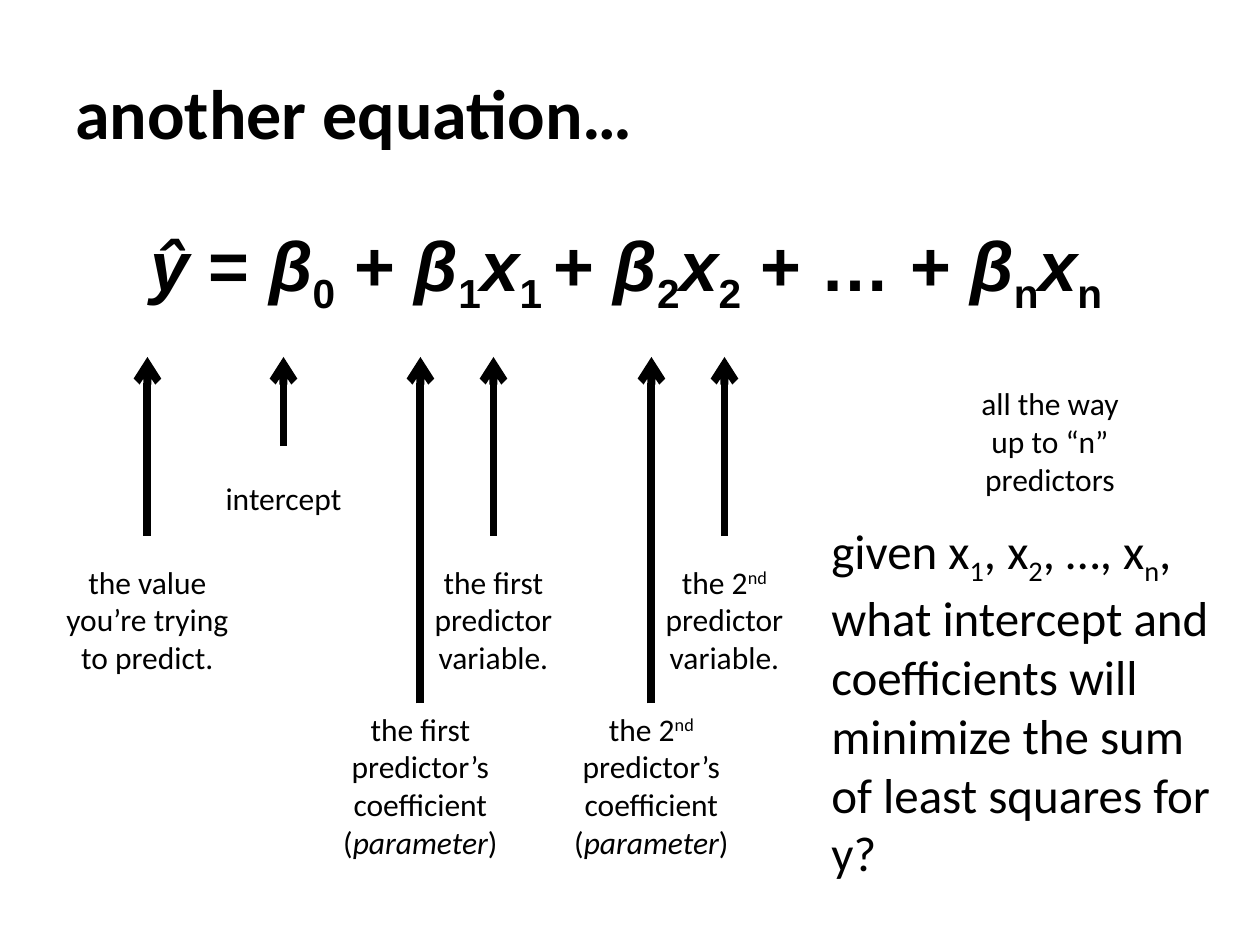
from dataclasses import dataclass
from lxml.etree import SubElement
from pptx import Presentation
from pptx.dml.color import RGBColor
from pptx.enum.shapes import MSO_CONNECTOR as Connector
from pptx.enum.text import MSO_ANCHOR as Anchor, MSO_AUTO_SIZE as AutoSize, PP_ALIGN as Align
from pptx.oxml.ns import qn
from pptx.util import Pt


@dataclass(frozen=True)
class Theme:
    ink: RGBColor = RGBColor(0, 0, 0)
    body_font: str = "Calibri"
    equation_font: str = "Arial"
    heading_size: int = 40
    question_size: int = 28
    label_size: int = 18
    arrow_width: float = 4.5


BASELINES = {"sub": "-25000", "super": "30000"}


class SlideBuilder:
    def __init__(self, page, theme):
        self.page = page
        self.theme = theme

    def set_text(self, box, paragraphs, size, font=None, bold=False, align=Align.LEFT, anchor=Anchor.TOP):
        frame = box.text_frame
        frame.word_wrap = True
        frame.auto_size = AutoSize.SHAPE_TO_FIT_TEXT
        frame.vertical_anchor = anchor
        for index, pieces in enumerate(paragraphs):
            para = frame.add_paragraph() if index else frame.paragraphs[0]
            para.alignment = align
            for text, style in pieces:
                span = para.add_run()
                span.text = text
                span.font.name = font or self.theme.body_font
                span.font.size = Pt(size)
                span.font.bold = bold
                span.font.italic = style == "italic"
                span.font.color.rgb = self.theme.ink
                if style in BASELINES:
                    span.font._element.set("baseline", BASELINES[style])

    def equation(self, pieces, left, top, width, height):
        box = self.page.shapes.title
        box.left, box.top, box.width, box.height = Pt(left), Pt(top), Pt(width), Pt(height)
        self.set_text(box, [pieces], self.theme.heading_size, self.theme.equation_font,
                      bold=True, align=Align.CENTER, anchor=Anchor.MIDDLE)

    def text(self, paragraphs, left, top, width, height, size, **style):
        box = self.page.shapes.add_textbox(Pt(left), Pt(top), Pt(width), Pt(height))
        self.set_text(box, paragraphs, size, **style)

    def label(self, paragraphs, center, top, lines):
        width = 108
        self.text(paragraphs, center - width / 2, top, width, 21.6 * lines + 7.2,
                  self.theme.label_size, align=Align.CENTER)

    def arrow(self, center, bottom, top):
        line = self.page.shapes.add_connector(Connector.STRAIGHT, Pt(center), Pt(bottom), Pt(center), Pt(top))
        line.line.color.rgb = self.theme.ink
        line.line.width = Pt(self.theme.arrow_width)
        properties = line._element.spPr
        SubElement(properties.find(qn("a:ln")), qn("a:tailEnd"), type="arrow")
        SubElement(properties, qn("a:effectLst"))


def plain(text):
    return text, ""


def italic(text):
    return text, "italic"


def sub(text):
    return text, "sub"


def term(index):
    return [italic("β"), sub(index), italic("x"), sub(index)]


theme = Theme()
deck = Presentation()
deck.slide_width, deck.slide_height = Pt(720), Pt(540)
page = deck.slides.add_slide(deck.slide_layouts[5])
slide = SlideBuilder(page, theme)

slide.equation(
    [italic("ŷ "), plain("= "), italic("β"), sub("0"), plain(" + "), *term("1"), sub(" "), plain("+ "),
     *term("2"), plain(" + … + "), *term("n")],
    34, 126, 648, 55.5)
slide.text([[plain("another equation…")]], 36, 36, 648, 55.5, theme.heading_size,
           bold=True, anchor=Anchor.MIDDLE)

first = [plain("the first")]
second = [plain("the 2"), ("nd", "super")]
parameter = [plain("("), italic("parameter"), plain(")")]
callouts = [
    (84.25, 306, 318, 3, [[plain("the value you’re trying to predict.")]]),
    (162, 255, 270, 1, [[plain("intercept")]]),
]
for ordinal, center in ((first, 282), (second, 414)):
    callouts += [
        (center, 306, 318, 3, [ordinal + [plain(" predictor variable.")]]),
        (center - 41.75, 402, 402, 4, [ordinal + [plain(" predictor’s coefficient")], parameter]),
    ]
for center, arrow_bottom, label_top, lines, paragraphs in callouts:
    slide.arrow(center, arrow_bottom, 204)
    slide.label(paragraphs, center, label_top, lines)

slide.label([[plain("all the way up to “n” predictors")]], 600, 216, 3)
slide.text(
    [[plain("given x"), sub("1"), plain(", x"), sub("2"), plain(", …, x"), sub("n"),
      plain(", what intercept and coefficients will minimize the sum of least squares for y?")]],
    468, 294, 237, 211, theme.question_size)

deck.save("out.pptx")
